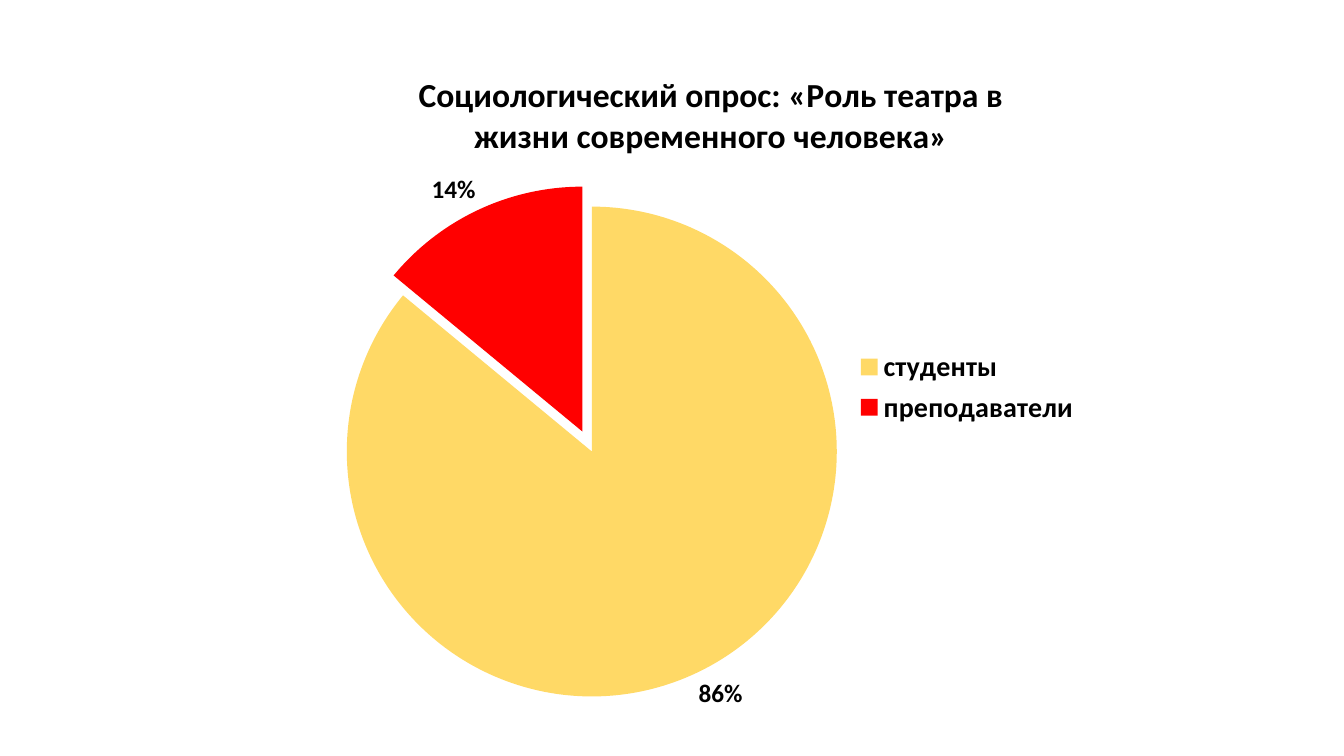
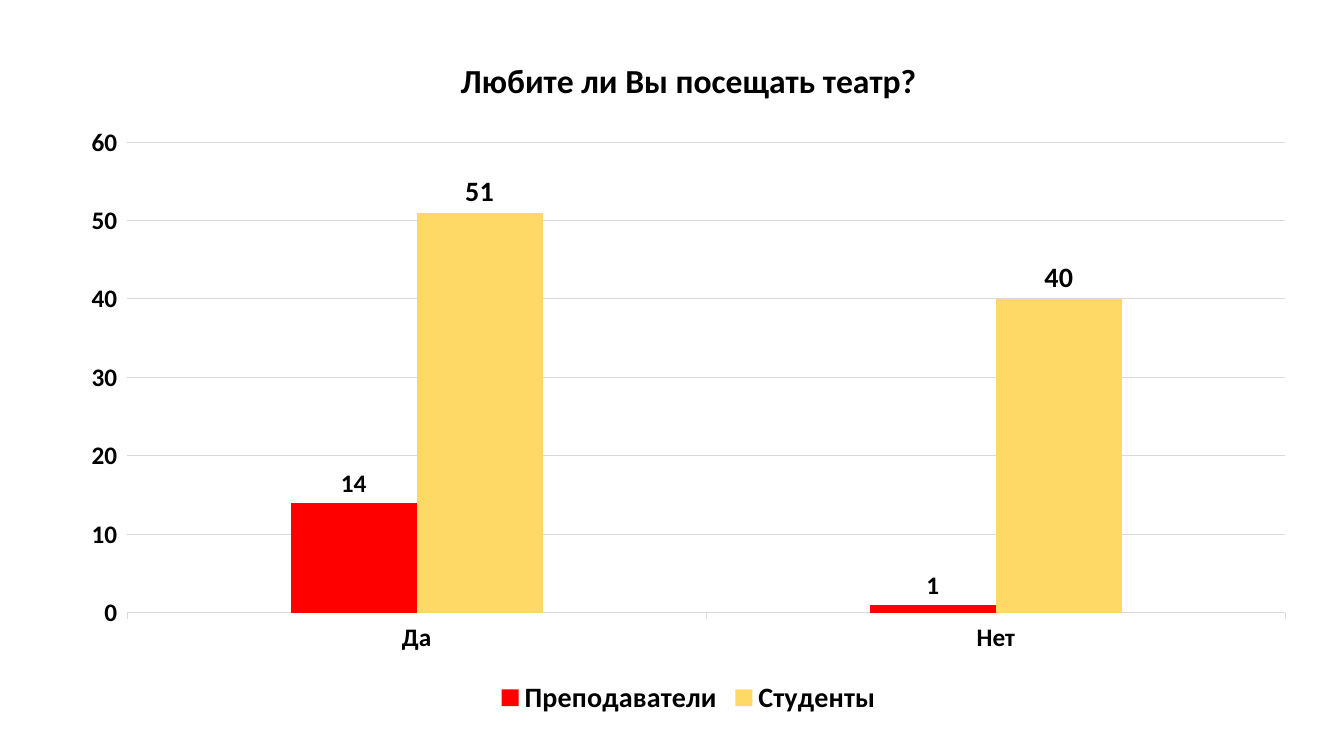
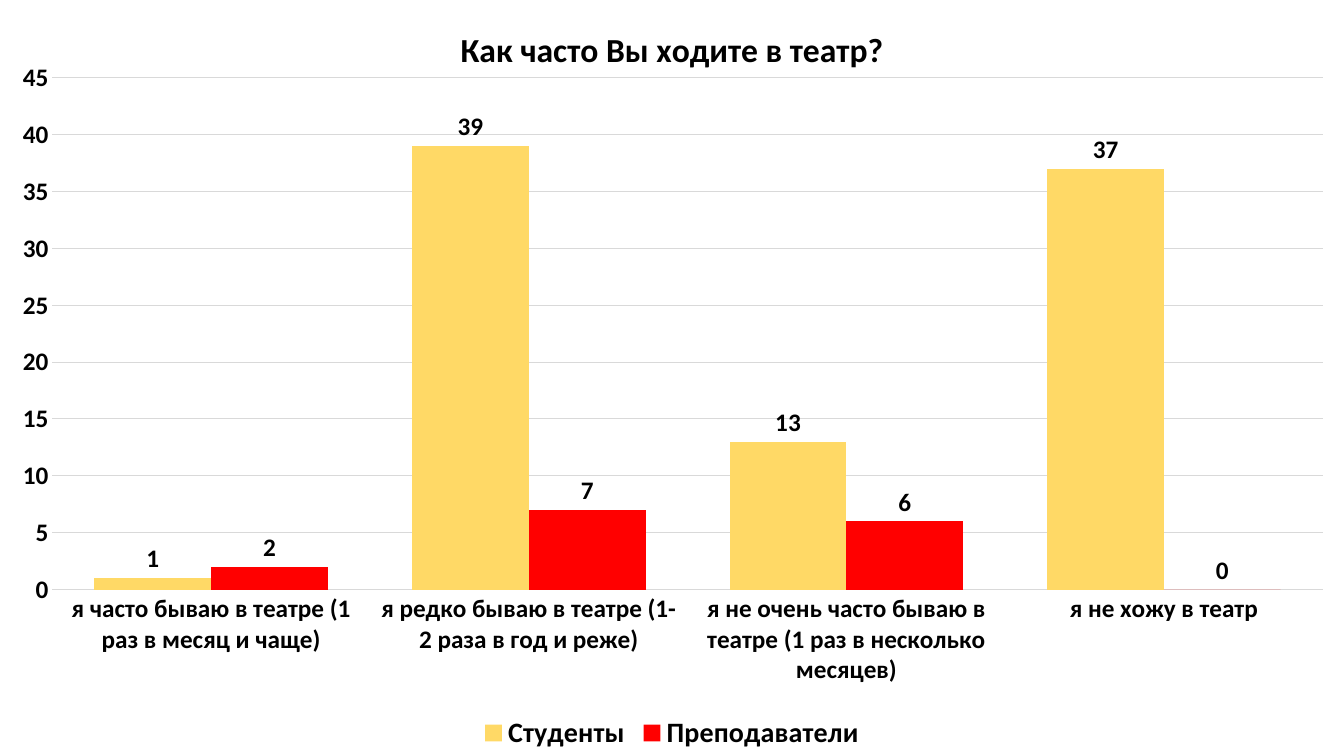
from lxml.etree import SubElement
from pptx import Presentation
from pptx.chart.data import CategoryChartData
from pptx.dml.color import RGBColor
from pptx.enum.chart import (XL_CHART_TYPE, XL_LABEL_POSITION,
                             XL_LEGEND_POSITION, XL_TICK_MARK)
from pptx.oxml.ns import qn
from pptx.util import Inches, Pt

GOLD, RED, BLACK, GRAY = "FFD966", "FF0000", "000000", "D9D9D9"
HUES = {"студенты": GOLD, "преподаватели": RED}
FACE = {"name": "Calibri", "bold": True}


def color(code):
    return RGBColor.from_string(code)


def assign(item, values):
    for key, value in values.items():
        setattr(item, key, value)


def style(font, size):
    assign(font, {**FACE, "size": Pt(size)})
    font.color.rgb = color(BLACK)


def paint(part, code):
    part.format.fill.solid()
    part.format.fill.fore_color.rgb = color(code)


def rule(line):
    line.color.rgb = color(GRAY)
    line.width = Pt(0.75)


def arrange(chart, box, plot):
    """Fix the inner plot area; box and plot are slide inches."""
    area = chart._chartSpace.chart.plotArea
    layout = area.find(qn("c:layout"))
    if layout is None:
        layout = SubElement(area, qn("c:layout"))
        area.insert(0, layout)
    left, top, wide, high = box
    x, y, w, h = plot
    manual = SubElement(layout, qn("c:manualLayout"))
    values = {"layoutTarget": "inner", "xMode": "edge", "yMode": "edge",
              "x": (x - left) / wide, "y": (y - top) / high,
              "w": w / wide, "h": h / high}
    for key, value in values.items():
        SubElement(manual, qn("c:" + key)).set("val", str(value))


def add_chart(deck, kind, title, cats, rows, box, plot, side):
    """Add a slide with one titled chart and its legend."""
    slide = deck.slides.add_slide(deck.slide_layouts[6])
    data = CategoryChartData()
    data.categories = cats
    for name, values in rows.items():
        data.add_series(name, values)
    frame = slide.shapes.add_chart(kind, *map(Inches, box), data)
    chart = frame.chart
    style(chart.font, 10)
    chart.has_title = True
    chart.chart_title.include_in_layout = False
    text = chart.chart_title.text_frame
    text.text = title
    style(text.paragraphs[0].runs[0].font, 24)
    chart.has_legend = True
    assign(chart.legend, {"position": side, "include_in_layout": False})
    style(chart.legend.font, 20)
    arrange(chart, box, plot)
    return chart


def add_labels(owner, size, values):
    labels = owner.data_labels
    assign(labels, {"position": XL_LABEL_POSITION.OUTSIDE_END, **values})
    style(labels.font, size)


def add_pie(deck, title, parts, box, plot):
    chart = add_chart(deck, XL_CHART_TYPE.PIE, title, list(parts),
                      {"Опрос": list(parts.values())}, box, plot,
                      XL_LEGEND_POSITION.RIGHT)
    pie = chart.plots[0]
    pie.vary_by_categories = True
    series = pie.series[0]
    for spot, name in enumerate(parts):
        paint(series.points[spot], HUES[name])
    slice_ = series.points[1].format.fill._xPr.getparent()
    burst = SubElement(slice_, qn("c:explosion"))
    burst.set("val", "9")
    slice_.find(qn("c:spPr")).addprevious(burst)
    add_labels(series, 18, {"show_percentage": True, "show_value": False,
                            "number_format": "0%",
                            "number_format_is_linked": False})


def add_bars(deck, title, cats, rows, sizes, gap, tick, box, plot):
    chart = add_chart(deck, XL_CHART_TYPE.COLUMN_CLUSTERED, title, cats, rows,
                      box, plot, XL_LEGEND_POSITION.BOTTOM)
    bars = chart.plots[0]
    assign(bars, {"gap_width": gap, "overlap": 0, "vary_by_categories": False})
    for series, size in zip(bars.series, sizes):
        paint(series, HUES[series.name.lower()])
        series.invert_if_negative = False
        add_labels(series, size, {"show_value": True})
    for axis in (chart.category_axis, chart.value_axis):
        assign(axis, {"major_tick_mark": tick,
                      "minor_tick_mark": XL_TICK_MARK.NONE})
        style(axis.tick_labels.font, 18)
    rule(chart.category_axis.format.line)
    chart.value_axis.format.line.fill.background()
    chart.value_axis.has_major_gridlines = True
    rule(chart.value_axis.major_gridlines.format.line)


def main():
    deck = Presentation()
    assign(deck, {"slide_width": Inches(13.33), "slide_height": Inches(7.5)})
    add_pie(deck,
            "Социологический опрос: «Роль театра в жизни современного человека»",
            {"студенты": 86, "преподаватели": 14},
            (3.28, 0.47, 7.54, 6.74), (3.44, 2.05, 4.86, 4.86))
    add_bars(deck, "Любите ли Вы посещать театр?", ["Да", "Нет"],
             {"Преподаватели": [14, 1], "Студенты": [51, 40]},
             (18, 20), 260, XL_TICK_MARK.OUTSIDE,
             (0.66, 0.33, 12.34, 6.82), (1.26, 1.41, 11.49, 4.67))
    add_bars(deck, "Как часто Вы ходите в театр?",
             ["я часто бываю в театре (1 раз в месяц и чаще)",
              "я редко бываю в театре (1-2 раза в год и реже)",
              "я не очень часто бываю в театре (1 раз в несколько месяцев)",
              "я не хожу в театр"],
             {"Студенты": [1, 39, 13, 37], "Преподаватели": [2, 7, 6, 0]},
             (18, 18), 72, XL_TICK_MARK.NONE,
             (0, 0, 13.33, 7.5), (0.52, 0.77, 12.6, 5.08))
    deck.save("out.pptx")


if __name__ == "__main__":
    main()
